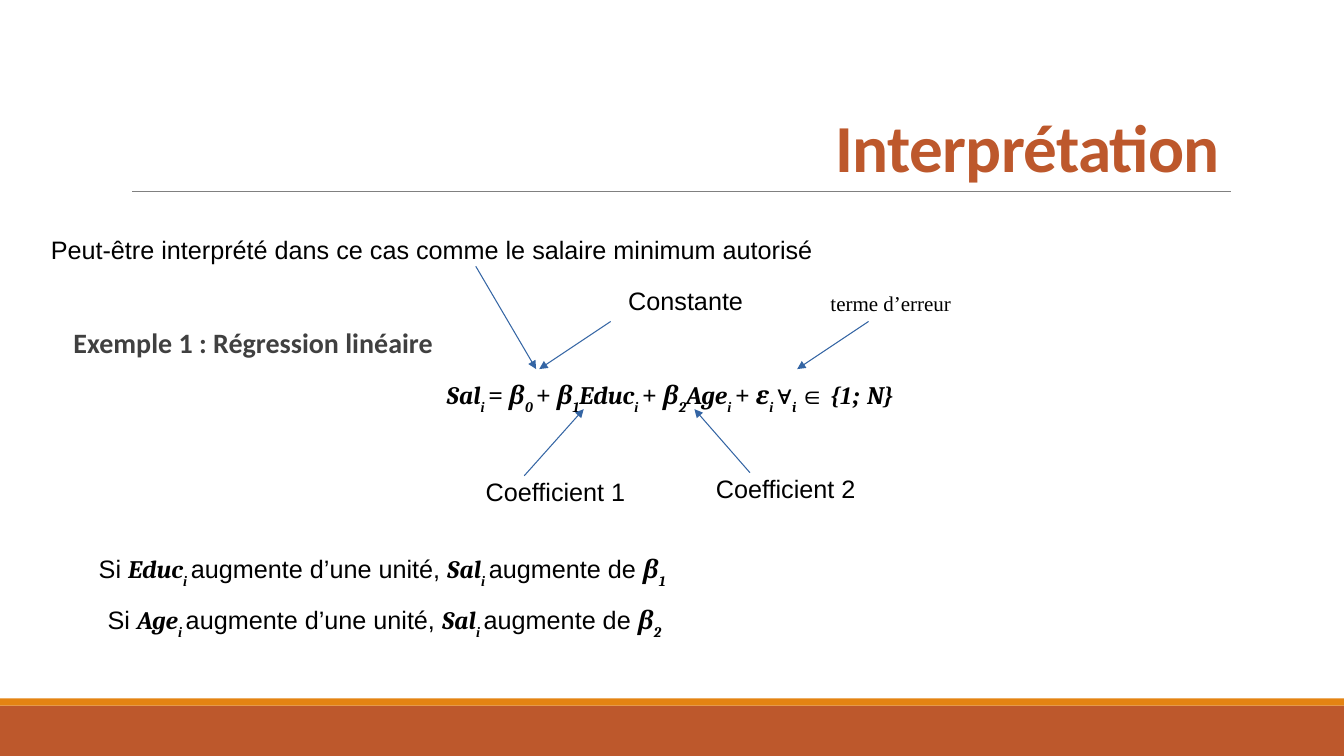
from dataclasses import dataclass
from pptx import Presentation
from pptx.dml.color import RGBColor
from pptx.enum.shapes import MSO_CONNECTOR, MSO_SHAPE
from pptx.enum.text import MSO_ANCHOR, MSO_AUTO_SIZE, PP_ALIGN
from pptx.oxml.ns import qn
from pptx.util import Cm, Pt
from lxml.etree import SubElement


@dataclass(frozen=True)
class Theme:
    rust: str = "BD582C"
    orange: str = "E48312"
    rule: str = "808080"
    heading: str = "404040"
    text: str = "000000"
    paper: str = "FFFFFF"
    arrow: str = "3465A4"
    title_pt: int = 48
    heading_pt: int = 20
    body_pt: int = 18
    note_pt: int = 15


T = Theme()
# Run styles: font, size, bold italic, subscript
STYLES = {
    "plain": ("Arial", T.body_pt, False, False),
    "note": ("Times New Roman", T.note_pt, False, False),
    "var": ("Cambria", T.body_pt, True, False),
    "op": ("Times New Roman", T.body_pt, True, False),
    "index": ("Times New Roman", T.body_pt, True, True),
    "num": ("Cambria", T.body_pt, True, True),
}

# Content
TITLE = "Interprétation"
HEADING = "Exemple 1\u00a0: Régression linéaire"
EQUATION = [
    ("Sal", "var"), ("i ", "index"), ("= ", "op"),
    ("β", "var"), ("0 ", "num"), ("+ ", "op"),
    ("β", "var"), ("1", "num"), ("Educ", "var"), ("i ", "index"), ("+ ", "op"),
    ("β", "var"), ("2", "num"), ("Age", "var"), ("i ", "index"), ("+ ", "op"),
    ("ε", "var"), ("i ", "index"), ("∀", "op"), ("i ", "num"),
    ("∈ {1; ", "op"), ("N", "var"), ("}", "op"),
]


def effect(variable, number):
    return [("Si ", "plain"), (variable, "var"), ("i ", "index"),
            ("augmente d’une unité, ", "plain"), ("Sal", "var"), ("i ", "index"),
            ("augmente de ", "plain"), ("β", "var"), (number, "num")]


# Labels: centre x, centre y (cm), runs
LABEL_W, LABEL_H = 4.19, 0.79
LABELS = [
    (17.28, 7.58, [("Constante", "plain")]),
    (14.0, 12.38, [("Coefficient 1", "plain")]),
    (19.8, 12.3, [("Coefficient 2", "plain")]),
    (22.45, 7.65, [("terme d’erreur", "note")]),
    (10.88, 6.29, [("Peut-être interprété dans ce cas comme le salaire minimum autorisé",
                    "plain")]),
    (9.63, 14.39, effect("Educ", "1")),
    (9.69, 15.68, effect("Age", "2")),
]
# Arrows: start x, start y, tip x, tip y (cm)
ARROWS = [
    (15.39, 8.1, 13.59, 9.3),
    (18.9, 11.91, 17.5, 10.31),
    (13.21, 11.99, 14.71, 10.31),
    (21.89, 8.1, 20.09, 9.3),
    (11.99, 6.71, 13.51, 9.3),
]
# Footer bands: top, height (cm), colour
BANDS = [(17.78, 1.27, T.rust), (17.6, 0.18, T.orange)]

prs = Presentation()
prs.slide_width, prs.slide_height = Cm(33.87), Cm(19.05)
s = prs.slides.add_slide(prs.slide_layouts[5])


def rgb(value):
    return RGBColor.from_string(value)


def add_rect(x, y, w, h, fill):
    sp = s.shapes.add_shape(MSO_SHAPE.RECTANGLE, Cm(x), Cm(y), Cm(w), Cm(h))
    sp.shadow.inherit = False
    sp.fill.solid()
    sp.fill.fore_color.rgb = rgb(fill)
    sp.line.fill.background()
    return sp


def add_line(x1, y1, x2, y2, color, width, arrow=False):
    line = s.shapes.add_connector(MSO_CONNECTOR.STRAIGHT, Cm(x1), Cm(y1), Cm(x2), Cm(y2))
    line.line.color.rgb = rgb(color)
    line.line.width = Pt(width)
    if arrow:
        SubElement(line.line._get_or_add_ln(), qn("a:tailEnd"), type="triangle")
    SubElement(line._element.spPr, qn("a:effectLst"))


def add_runs(p, runs):
    p.alignment = PP_ALIGN.CENTER
    for text, style in runs:
        name, size, strong, sub = STYLES[style]
        r = p.add_run()
        r.text = text
        r.font.name, r.font.size = name, Pt(size)
        r.font.bold = r.font.italic = strong
        r.font.color.rgb = rgb(T.text)
        if sub:
            r._r.get_or_add_rPr().set("baseline", "-33000")


# Footer bands and title rule
for top, height, color in BANDS:
    add_rect(0, top, 33.87, height, color)
add_line(3.33, 4.83, 31.01, 4.83, T.rule, 0.5)

# Title
title = s.shapes.title
title.left, title.top, title.width, title.height = Cm(3.05), Cm(0.79), Cm(27.94), Cm(4.04)
tf = title.text_frame
tf.text = TITLE
tf.auto_size = MSO_AUTO_SIZE.NONE
tf.vertical_anchor = MSO_ANCHOR.BOTTOM
p = tf.paragraphs[0]
p.alignment, p.line_spacing = PP_ALIGN.RIGHT, 0.85
p.font.name, p.font.size, p.font.bold = "Calibri", Pt(T.title_pt), True
p.font.color.rgb = rgb(T.rust)
p.runs[0]._r.get_or_add_rPr().set("spc", "-50")

# Heading and equation
tf = s.shapes.add_textbox(Cm(1.6), Cm(8.08), Cm(30.56), Cm(2.4)).text_frame
tf.word_wrap = True
p = tf.paragraphs[0]
p.text = HEADING
p.font.name, p.font.size, p.font.bold = "Calibri", Pt(T.heading_pt), True
p.font.color.rgb = rgb(T.heading)
p = tf.add_paragraph()
p.space_before = Pt(14.2)
add_runs(p, EQUATION)

# Labels and effects
for cx, cy, runs in LABELS:
    sp = add_rect(cx - LABEL_W / 2, cy - LABEL_H / 2, LABEL_W, LABEL_H, T.paper)
    tf = sp.text_frame
    tf.word_wrap = False
    tf.vertical_anchor = MSO_ANCHOR.MIDDLE
    add_runs(tf.paragraphs[0], runs)

# Arrows
for arrow in ARROWS:
    add_line(*arrow, T.arrow, 0.75, arrow=True)

prs.save("out.pptx")
